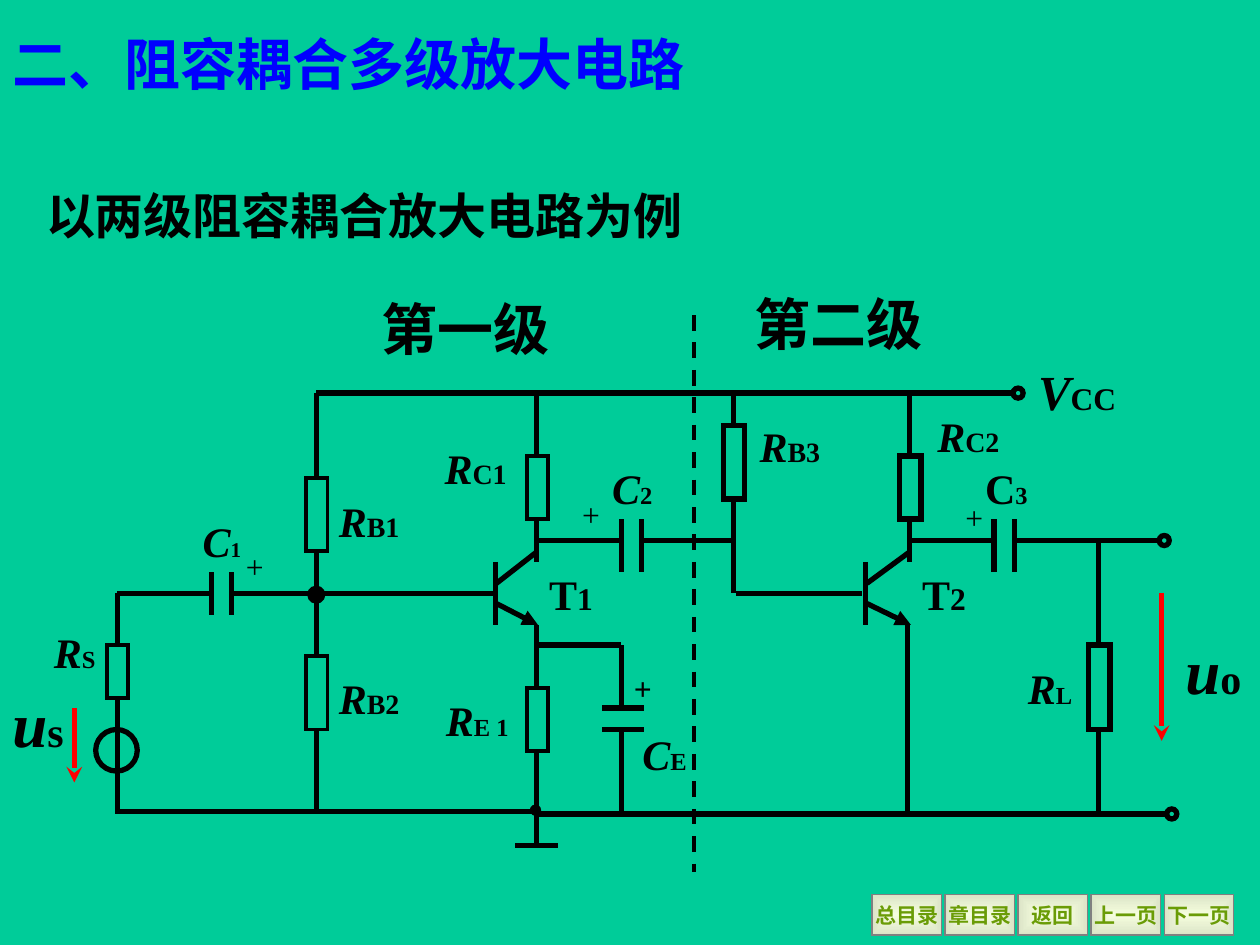
from lxml import etree
from pptx import Presentation
from pptx.dml.color import RGBColor
from pptx.enum import dml, shapes, text
from pptx.oxml.ns import qn
from pptx.util import Inches, Pt

THEME = dict(page="00CC99", ink="000000", title="0000FF", signal="FF0000",
             button_text="6A9C06", button_edge="808080",
             button_light="F5FEDE", button_dark="DCE4C7",
             serif="Times New Roman", sans="Noto Sans CJK SC",
             wire=3, thin=2.25, button=12, subtitle=28, heading=32)

TITLE = "二、阻容耦合多级放大电路"
SUBTITLE = "以两级阻容耦合放大电路为例"
BUTTONS = ["总目录", "章目录", "返回", "上一页", "下一页"]
STAGES = [("第一级", 2.93, 2.29), ("第二级", 5.89, 2.25)]

# Heights of the supply rail, signal lines and ground
SUPPLY, OUTPUT, INPUT, GROUND = 3.12, 4.29, 4.71, 6.46

# x, wire top, wire bottom, resistor top, resistor height, outline
BRANCHES = [
    (2.51, SUPPLY, INPUT, 3.79, 0.58, "thin"),
    (2.51, INPUT, GROUND, 5.21, 0.58, "thin"),
    (4.26, SUPPLY, 4.46, 3.62, 0.50, "thin"),
    (4.26, 4.96, 6.71, 5.46, 0.50, "thin"),
    (0.93, INPUT, GROUND, 5.12, 0.42, "thin"),
    (5.82, SUPPLY, INPUT, 3.38, 0.58, "wire"),
    (7.22, SUPPLY, 4.46, 3.62, 0.50, "wire"),
    (8.72, OUTPUT, GROUND, 5.12, 0.67, "wire"),
]
# wire start, wire end, y, first plate x, plate top, plate bottom
CAPACITORS = [
    (0.93, 3.93, INPUT, 1.68, 4.54, 4.88),
    (4.26, 5.84, OUTPUT, 4.93, 4.12, 4.54),
    (7.22, 9.22, OUTPUT, 7.89, 4.12, 4.54),
]
TRANSISTORS = [(3.93, 4.26), (6.87, 7.22)]  # base x, emitter x
WIRES = [
    (2.51, SUPPLY, 8.06, SUPPLY),
    (4.26, GROUND, 9.26, GROUND),
    (4.26, 6.44, 0.93, 6.44),
    (4.09, 6.71, 4.43, 6.71),
    (5.84, INPUT, 6.84, INPUT),
    (7.20, 4.96, 7.20, GROUND),
    (4.26, 5.12, 4.93, 5.12),
    (4.93, 5.12, 4.93, 5.62),
    (4.78, 5.62, 5.11, 5.62),
    (4.78, 5.79, 5.11, 5.79),
    (4.93, 5.79, 4.93, GROUND),
]
SIGNALS = [(0.59, 5.62, 6.21), (9.22, 4.71, 5.88)]  # x, from y, to y
# left, top, diameter, filled, outline width
CIRCLES = [
    (0.76, 5.79, 0.33, False, 3),
    (8.04, 3.08, 0.08, False, 3),
    (9.20, 4.25, 0.08, False, 3),
    (9.26, 6.42, 0.08, False, 3),
    (4.21, 6.39, 0.08, True, 0.75),
    (2.47, 4.68, 0.08, True, 4.5),
]
# letter, subscript, letter size, subscript size, italic letter, box
LABELS = [
    ("R", "B1", 24, 16, True, (2.59, 3.88, 0.68, 0.5)),
    ("R", "C1", 24, 16, True, (3.43, 3.46, 0.69, 0.5)),
    ("C", "1", 24, 12, True, (1.51, 4.04, 0.51, 0.5)),
    ("C", "2", 24, 14, True, (4.76, 3.62, 0.58, 0.5)),
    ("R", "S", 24, 14, True, (0.33, 4.92, 0.53, 0.5)),
    ("T", "1", 24, 18, False, (4.26, 4.46, 0.55, 0.5)),
    ("R", "B2", 24, 16, True, (2.59, 5.29, 0.68, 0.5)),
    ("R", "E 1", 24, 14, True, (3.44, 5.46, 0.70, 0.5)),
    ("C", "E", 24, 14, True, (5.00, 5.73, 0.55, 0.5)),
    ("u", "s", 36, 24, True, (0.00, 5.38, 0.61, 0.7)),
    ("V", "CC", 28, 18, True, (8.14, 2.82, 0.82, 0.57)),
    ("R", "B3", 24, 16, True, (5.93, 3.29, 0.68, 0.5)),
    ("R", "C2", 24, 16, True, (7.34, 3.21, 0.69, 0.5)),
    ("C", "3", 24, 14, False, (7.72, 3.62, 0.58, 0.5)),
    ("T", "2", 24, 18, False, (7.22, 4.46, 0.55, 0.5)),
    ("R", "L", 24, 14, True, (8.06, 5.21, 0.55, 0.5)),
    ("u", "o", 36, 24, True, (9.31, 4.96, 0.65, 0.7)),
]
# left, top, bold
PLUSES = [(4.92, 5.26, True), (1.84, 4.29, False),
          (4.51, 3.88, False), (7.55, 3.90, False)]


def color(name):
    return RGBColor.from_string(THEME[name])


def write(frame, spans, ink="ink", font="serif", centered=False):
    """Fill one paragraph with spans of (words, size, bold, italic)."""
    frame.word_wrap = False
    frame.vertical_anchor = text.MSO_ANCHOR.MIDDLE
    para = frame.paragraphs[0]
    para.alignment = text.PP_ALIGN.LEFT
    if centered:
        para.alignment = text.PP_ALIGN.CENTER
        frame.margin_left = frame.margin_right = 0
    for words, size, bold, italic in spans:
        span = para.add_run()
        span.text = words
        span.font.name, span.font.size = THEME[font], Pt(size)
        span.font.bold, span.font.italic = bold, italic
        span.font.color.rgb = color(ink)
        if font == "sans":
            etree.SubElement(span.font._element, qn("a:ea"), typeface=THEME[font])


def add_label(page, at, spans, **style):
    box = page.shapes.add_textbox(*map(Inches, at))
    write(box.text_frame, spans, **style)


def add_line(page, x1, y1, x2, y2, ink="ink", width=THEME["wire"], head=None, dash=None):
    line = page.shapes.add_connector(
        shapes.MSO_CONNECTOR.STRAIGHT, *map(Inches, (x1, y1, x2, y2)))
    line.line.color.rgb = color(ink)
    line.line.width = Pt(width)
    if dash:
        line.line.dash_style = dash
    if head:
        etree.SubElement(line.line._get_or_add_ln(), qn("a:tailEnd"), type=head)
    etree.SubElement(line._element.spPr, qn("a:effectLst"))


def add_part(page, kind, at, fill=None, edge="ink", width=THEME["wire"]):
    part = page.shapes.add_shape(kind, *map(Inches, at))
    part.shadow.inherit = False
    if fill:
        part.fill.solid()
        part.fill.fore_color.rgb = color(fill)
    else:
        part.fill.background()
    part.line.color.rgb = color(edge)
    part.line.width = Pt(width)
    etree.SubElement(part.line._get_or_add_ln(), qn("a:miter"), lim="800000")
    return part


def add_button(page, left, words):
    button = add_part(page, shapes.MSO_SHAPE.ACTION_BUTTON_CUSTOM,
                      (left, 7.1, 0.55, 0.32), edge="button_edge", width=0.75)
    button.fill.gradient()
    for stop, name in zip(button.fill.gradient_stops, ("button_light", "button_dark")):
        stop.color.rgb = color(name)
    gradient = button._element.spPr.find(qn("a:gradFill"))
    gradient.remove(gradient.find(qn("a:lin")))
    center = etree.SubElement(gradient, qn("a:path"), {"path": "shape"})
    etree.SubElement(center, qn("a:fillToRect"), dict.fromkeys("ltrb", "50000"))
    write(button.text_frame, [(words, THEME["button"], True, False)],
          ink="button_text", centered=True)


def draw_circuit(page):
    add_line(page, 5.51, 2.5, 5.51, 6.92, width=THEME["thin"],
             dash=dml.MSO_LINE.DASH)
    for wire in WIRES:
        add_line(page, *wire)
    for x, top, bottom, body, height, outline in BRANCHES:
        add_line(page, x, top, x, body)
        add_line(page, x, body + height, x, bottom)
        add_part(page, shapes.MSO_SHAPE.RECTANGLE, (x - 0.08, body, 0.17, height),
                 fill="page", width=THEME[outline])
    for start, end, y, plate, top, bottom in CAPACITORS:
        second = plate + 0.16
        add_line(page, start, y, plate, y)
        add_line(page, second, y, end, y)
        for x in (plate, second):
            add_line(page, x, top, x, bottom)
    for base, emitter in TRANSISTORS:
        add_line(page, base, 4.46, base, 4.96)
        add_line(page, base + 0.01, 4.63, emitter, 4.38)
        add_line(page, base + 0.01, 4.79, emitter + 0.01, 4.96, head="triangle")
    for x, start, end in SIGNALS:
        add_line(page, x, start, x, end, ink="signal", head="stealth")
    for left, top, size, filled, width in CIRCLES:
        add_part(page, shapes.MSO_SHAPE.OVAL, (left, top, size, size),
                 fill="ink" if filled else None, width=width)


def main():
    deck = Presentation()
    deck.slide_width, deck.slide_height = Inches(10), Inches(7.5)
    page = deck.slides.add_slide(deck.slide_layouts[5])
    page.background.fill.solid()
    page.background.fill.fore_color.rgb = color("page")

    for index, words in enumerate(BUTTONS):
        add_button(page, 6.92 + 0.58 * index, words)
    title = page.shapes.title
    title.left, title.top, title.width, title.height = map(Inches, (0, 0.15, 6.21, 0.7))
    write(title.text_frame, [(TITLE, THEME["heading"], True, False)],
          ink="title", font="sans")
    draw_circuit(page)
    for letter, sub, size, sub_size, italic, at in LABELS:
        add_label(page, at, [(letter, size, True, italic), (sub, sub_size, True, False)])
    for left, top, bold in PLUSES:
        add_label(page, (left, top, 0.36, 0.4), [("+", 18, bold, True)], centered=True)
    for words, left, top in STAGES:
        add_label(page, (left, top, 1.53, 0.63),
                  [(words, THEME["heading"], True, False)], centered=True)
    add_label(page, (0.26, 1.42, 5.26, 0.57),
              [(SUBTITLE, THEME["subtitle"], True, False)], font="sans", centered=True)
    deck.save("out.pptx")


if __name__ == "__main__":
    main()
